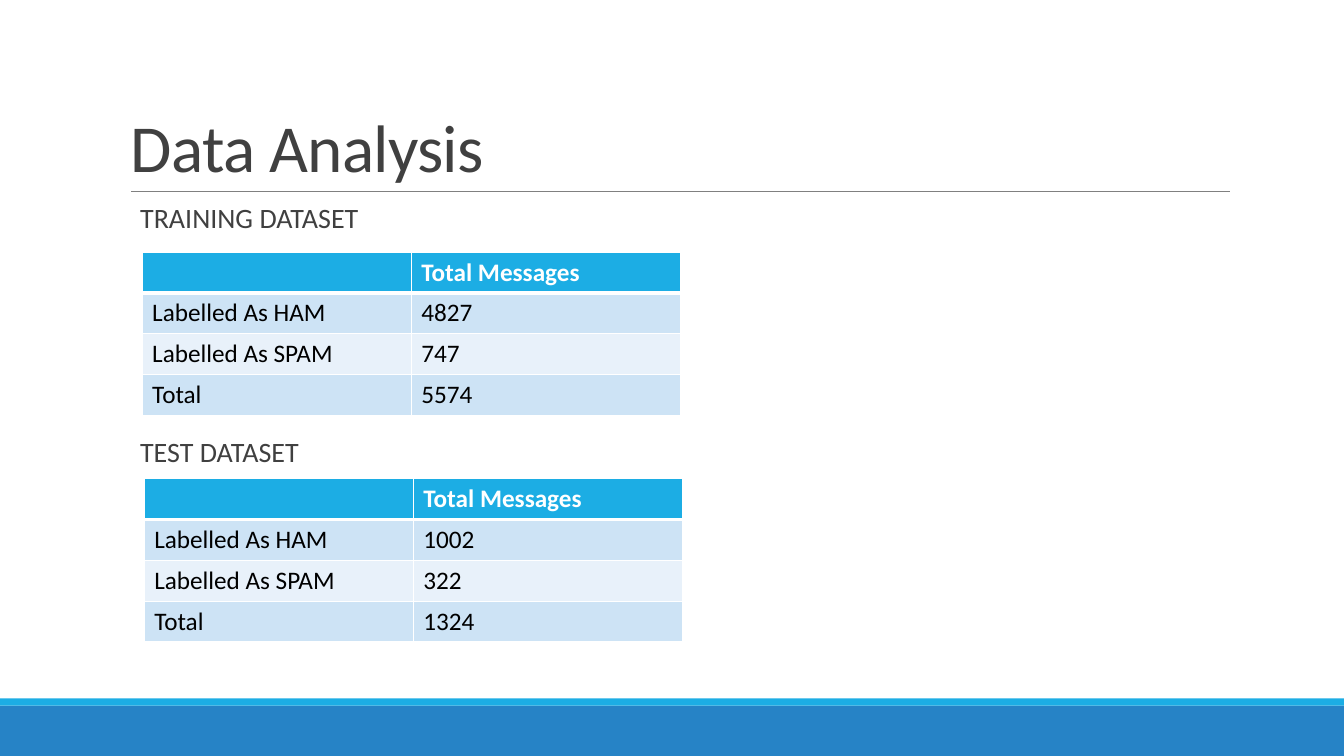
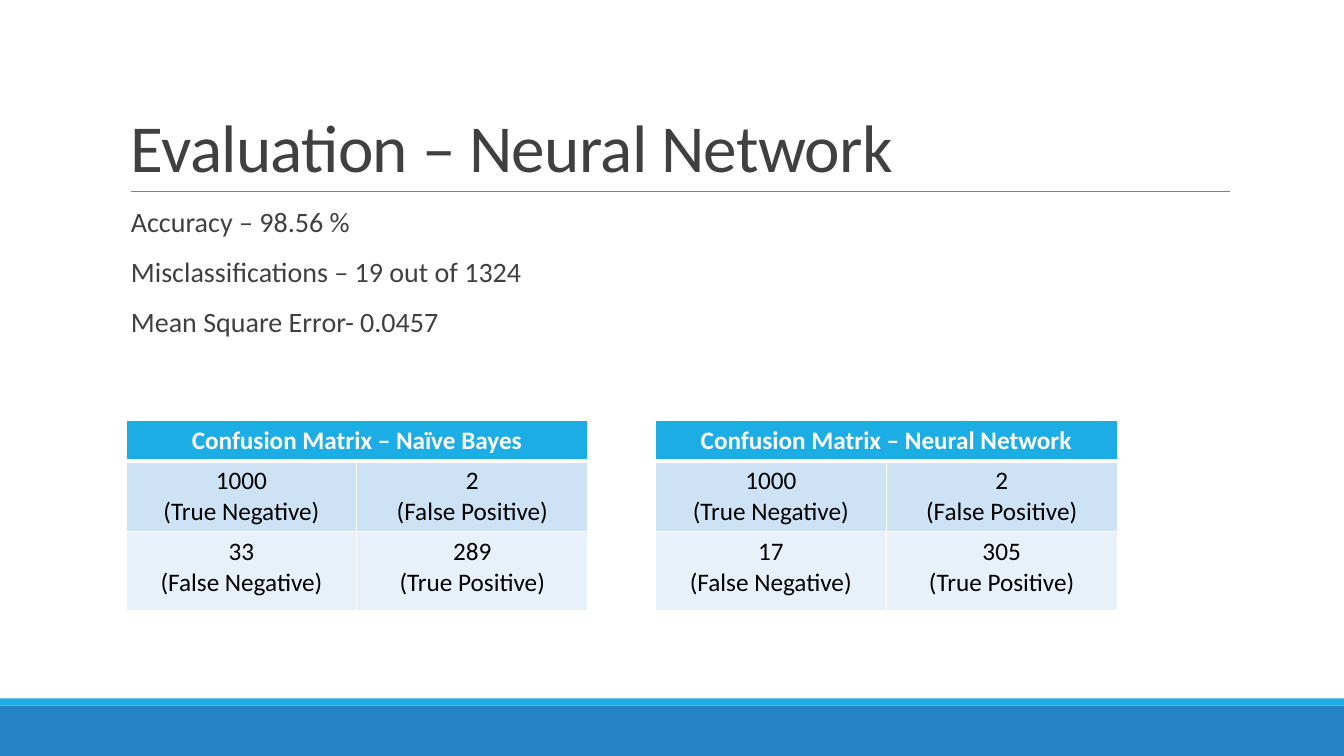
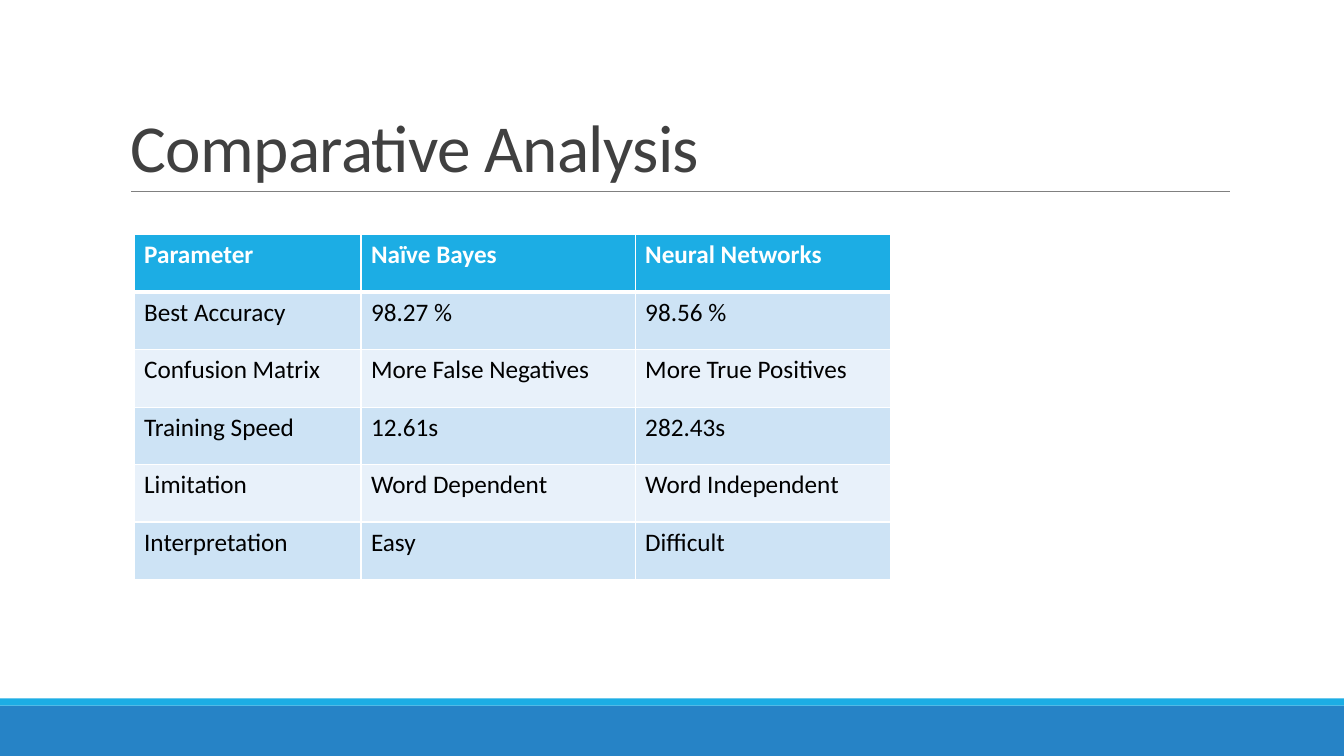
import pptx
import pptx.util
import pptx.dml.color
import pptx.enum.shapes
import pptx.enum.text
import pptx.oxml
import pptx.oxml.ns
import lxml.etree

Inches = pptx.util.Inches
Pt = pptx.util.Pt
RGB = pptx.dml.color.RGBColor.from_string
PP_ALIGN = pptx.enum.text.PP_ALIGN
qn = pptx.oxml.ns.qn

FONT = "Calibri"
COLORS = {
    "band": "2683C6",
    "accent": "1CADE4",
    "rule": "808080",
    "text": "404040",
    "cell_text": "000000",
    "white": "FFFFFF",
    "row_dark": "CDE3F5",
    "row_light": "E8F1FA",
}


def add_text(s, lines, left, top, width, height, size=20, spacing=0.9, inset=0.1):
    """Text box with one paragraph per line."""
    sp = s.shapes.add_textbox(Inches(left), Inches(top), Inches(width), Inches(height))
    tf = sp.text_frame
    tf.word_wrap = True
    tf.margin_left, tf.margin_right = Inches(inset), 0
    tf.text = "\n".join(lines)
    for i, p in enumerate(tf.paragraphs):
        p.line_spacing = spacing
        p.space_before = Pt(12 if i else 0)
        p.space_after = Pt(2 if len(lines) > 1 else 0)
        for r in p.runs:
            r.font.name, r.font.size = FONT, Pt(size)
            r.font.color.rgb = RGB(COLORS["text"])
    return tf


def add_grid(s, rows, left, top, widths, heights, align=PP_ALIGN.LEFT):
    """Table with a header row, banded rows and white borders."""
    table = s.shapes.add_table(len(rows), len(widths), Inches(left), Inches(top),
                               Inches(sum(widths)), Inches(sum(heights))).table
    for column, width in zip(table.columns, widths):
        column.width = Inches(width)
    for i, (row, height) in enumerate(zip(rows, heights)):
        table.rows[i].height = Inches(height)
        fill = COLORS["accent"] if i == 0 else COLORS["row_dark" if i % 2 else "row_light"]
        thick_side = {0: "lnB", 1: "lnT"}.get(i)
        for j in range(len(widths)):
            cell = table.cell(i, j)
            # Borders come before the fill in the cell properties
            tc_pr = cell._tc.get_or_add_tcPr()
            for side in ("lnL", "lnR", "lnT", "lnB"):
                ln = lxml.etree.SubElement(tc_pr, qn("a:" + side))
                ln.set("w", str(Pt(3 if side == thick_side else 1)))
                solid = lxml.etree.SubElement(ln, qn("a:solidFill"))
                lxml.etree.SubElement(solid, qn("a:srgbClr")).set("val", COLORS["white"])
            cell.fill.solid()
            cell.fill.fore_color.rgb = RGB(fill)
            if j >= len(row):
                continue
            cell.text_frame.text = row[j]
            for p in cell.text_frame.paragraphs:
                p.alignment = align
                for r in p.runs:
                    r.font.name, r.font.size = FONT, Pt(18)
                    r.font.bold = i == 0
                    r.font.color.rgb = RGB(COLORS["cell_text" if i else "white"])
        # A short row is one cell across the whole table
        if len(row) < len(widths):
            table.cell(i, len(row) - 1).merge(table.cell(i, len(widths) - 1))


prs = pptx.Presentation()
prs.slide_width, prs.slide_height = Inches(13.33), Inches(7.5)

# Shared parts: footer bands, title and rule
slides = []
for title in ("Data Analysis", "Evaluation – Neural Network", "Comparative Analysis"):
    s = prs.slides.add_slide(prs.slide_layouts[6])
    for top, height, color in ((7, 0.5, "band"), (6.93, 0.07, "accent")):
        sp = s.shapes.add_shape(pptx.enum.shapes.MSO_SHAPE.RECTANGLE,
                                0, Inches(top), prs.slide_width, Inches(height))
        sp.shadow.inherit = False
        sp.fill.solid()
        sp.fill.fore_color.rgb = RGB(COLORS[color])
        sp.line.fill.background()
    rule = s.shapes.add_connector(pptx.enum.shapes.MSO_CONNECTOR.STRAIGHT,
                                  Inches(1.3), Inches(1.9), Inches(12.2), Inches(1.9))
    rule.line.color.rgb = RGB(COLORS["rule"])
    rule.line.width = Pt(0.5)
    lxml.etree.SubElement(rule._element.spPr, qn("a:effectLst"))
    tf = add_text(s, [title], 1.2, 0.31, 11, 1.59, size=48, spacing=0.85)
    tf.vertical_anchor = pptx.enum.text.MSO_ANCHOR.BOTTOM
    tf.paragraphs[0].runs[0].font._element.set("spc", "-50")
    slides.append(s)
data_slide, evaluation_slide, comparison_slide = slides

# Data analysis: message counts of both datasets
datasets = (
    ("TRAINING DATASET", 2, 3.42, 1.41, 2.5, ("4827", "747", "5574")),
    ("TEST DATASET", 4.33, 1.83, 1.43, 4.75, ("1002", "322", "1324")),
)
for label, label_top, label_width, left, top, counts in datasets:
    add_text(data_slide, [label], 1.33, label_top, label_width, 0.42, spacing=0.8, inset=0.06)
    names = ("Labelled As HAM", "Labelled As SPAM", "Total")
    add_grid(data_slide, [("", "Total Messages"), *zip(names, counts)],
             left, top, [2.67] * 2, [1.62 / 4] * 4)

# Evaluation: scores and confusion matrices
add_text(evaluation_slide,
         ["Accuracy – 98.56 %", "Misclassifications – 19 out of 1324", "Mean Square Error- 0.0457"],
         1.2, 2.02, 11, 4.4)
matrices = (
    ("Naïve Bayes", 1.25, (1000, 2, 33, 289)),
    ("Neural Network", 6.5, (1000, 2, 17, 305)),
)
outcomes = ("True Negative", "False Positive", "False Negative", "True Positive")
for model, left, counts in matrices:
    cells = [f"{count}\n({outcome})" for count, outcome in zip(counts, outcomes)]
    add_grid(evaluation_slide, [(f"Confusion Matrix – {model}",), cells[:2], cells[2:]],
             left, 4.17, [2.29] * 2, [0.4, 0.7, 0.79], PP_ALIGN.CENTER)

# Comparison of the two models
comparison = (
    ("Parameter", "Naïve Bayes", "Neural Networks"),
    ("Best Accuracy", "98.27 %", "98.56 %"),
    ("Confusion Matrix", "More False Negatives", "More True Positives"),
    ("Training Speed", "12.61s", "282.43s"),
    ("Limitation", "Word Dependent", "Word Independent"),
    ("Interpretation", "Easy", "Difficult"),
)
add_grid(comparison_slide, comparison, 1.33, 2.33, [2.25, 2.72, 2.53], [0.57] * 6)

prs.save("out.pptx")
